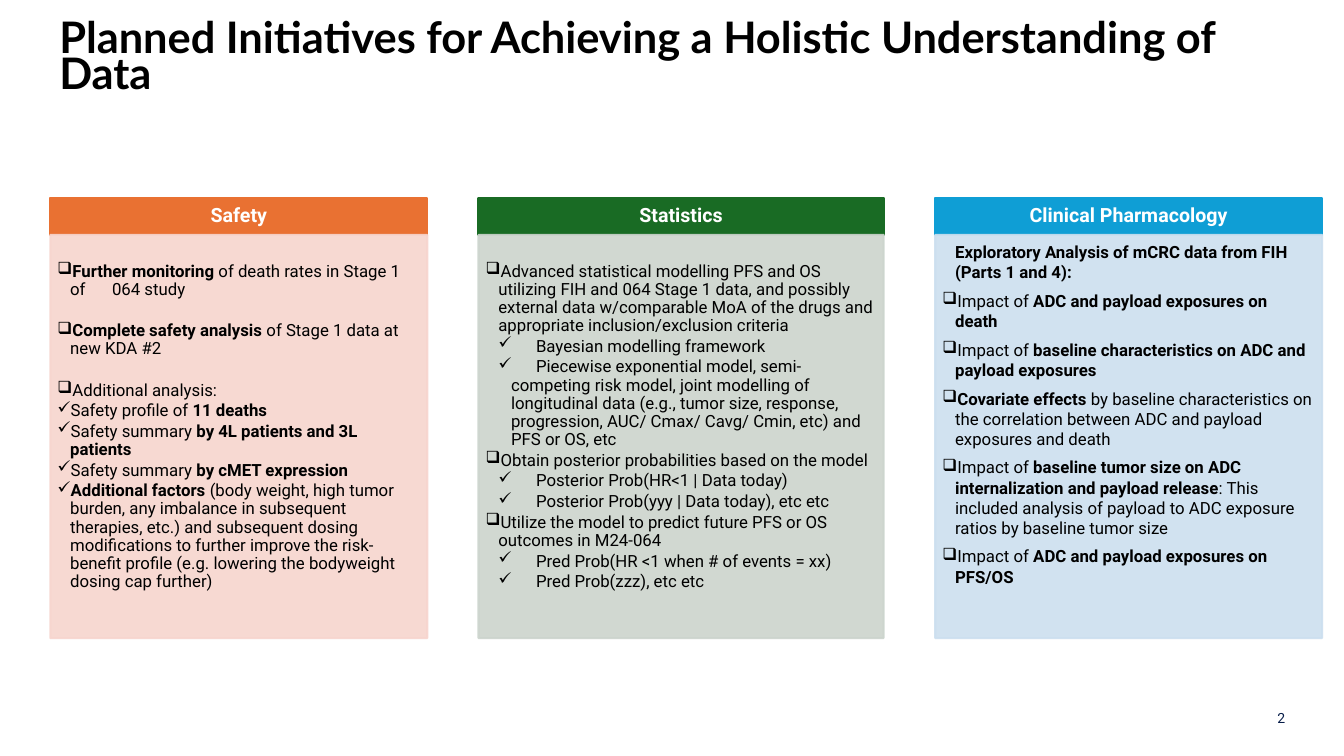
from dataclasses import dataclass

from lxml.etree import SubElement
from pptx import Presentation
from pptx.dml.color import RGBColor
from pptx.enum.shapes import MSO_SHAPE as Shape
from pptx.enum.text import MSO_ANCHOR as Anchor, MSO_AUTO_SIZE as AutoSize, PP_ALIGN as Align
from pptx.oxml.ns import qn
from pptx.util import Cm, Pt


@dataclass(frozen=True)
class Theme:
    heading_font: str = "Lato"
    body_font: str = "Roboto"
    title_size: int = 31
    header_size: int = 14
    body_size: int = 12
    number_size: int = 10
    black: str = "000000"
    white: str = "FFFFFF"
    navy: str = "071D49"
    body_opacity: int = 90


THEME = Theme()
BOX, TICK = "❑", "✓"
COLUMN_TOP, HEADER_HEIGHT, BODY_HEIGHT = 5.0, 0.92, 10.16
BLANK_LINE = 14.7


@dataclass(frozen=True)
class Item:
    """One paragraph; text between ** marks is bold."""
    text: str
    bullet: str = BOX
    level: int = 1
    before: float = 0


@dataclass(frozen=True)
class Column:
    title: str
    left: float
    width: float
    accent: str
    tint: str
    items: tuple
    top_inset: float = 0.7
    line_spacing: float = 0.9
    after: float = 1.8


SAFETY = Column("Safety", 1.27, 9.5, "E97132", "F7D5CE", (
    Item("**Further monitoring** of death rates in Stage 1 of\t 064 study"),
    Item("**Complete safety analysis **of Stage 1 data at new KDA #2", before=BLANK_LINE),
    Item("Additional analysis:", before=BLANK_LINE),
    Item("Safety profile of **11 deaths**", TICK),
    Item("Safety summary **by 4L patients and 3L patients**", TICK),
    Item("Safety summary **by cMET expression**", TICK),
    Item("**Additional factors **(body weight, high tumor burden, any imbalance in "
         "subsequent therapies, etc.) and subsequent dosing modifications to further "
         "improve the risk-benefit profile (e.g. lowering the bodyweight dosing cap "
         "further)", TICK),
))

STATISTICS = Column("Statistics", 12.06, 10.21, "196B24", "CCD4CD", (
    Item("Advanced statistical modelling PFS and OS utilizing FIH and 064 Stage 1 data, "
         "and possibly external data w/comparable MoA of the drugs and appropriate "
         "inclusion/exclusion criteria"),
    Item("\tBayesian modelling framework", TICK, 2),
    Item("\tPiecewise exponential model, semi-competing risk model, joint modelling of "
         "longitudinal data (e.g., tumor size, response, progression, AUC/ Cmax/ Cavg/ "
         "Cmin, etc) and PFS or OS, etc", TICK, 2),
    Item("Obtain posterior probabilities based on the model"),
    Item("\tPosterior Prob(HR<1 | Data today)", TICK, 2),
    Item("\tPosterior Prob(yyy | Data today), etc etc", TICK, 2),
    Item("Utilize the model to predict future PFS or OS outcomes in M24-064"),
    Item("\tPred Prob(HR <1 when # of events = xx)", TICK, 2),
    Item("\tPred Prob(zzz), etc etc", TICK, 2),
))

PHARMACOLOGY = Column("Clinical Pharmacology", 23.57, 9.75, "0F9ED5", "CCDFEF", (
    Item("**Exploratory Analysis of mCRC data from FIH (Parts 1 and 4):**", bullet=""),
    Item("Impact of **ADC and payload exposures on death**", before=6),
    Item("Impact of **baseline characteristics on ADC and payload exposures**", before=6),
    Item("**Covariate effects** by baseline characteristics on the correlation between "
         "ADC and payload exposures and death", before=6),
    Item("Impact of **baseline tumor size on ADC internalization and payload release**"
         ": This included analysis of payload to ADC exposure ratios by baseline tumor "
         "size", before=6),
    Item("Impact of **ADC and payload exposures on PFS/OS**", before=6),
), top_inset=0.18, line_spacing=1, after=0)


def style_font(font, size, color, name=THEME.body_font, bold=False):
    font.name, font.size, font.bold = name, Pt(size), bold
    font.color.rgb = RGBColor.from_string(color)


def set_insets(frame, left, top, right, bottom):
    frame.margin_left, frame.margin_top = Cm(left), Cm(top)
    frame.margin_right, frame.margin_bottom = Cm(right), Cm(bottom)


def add_panel(slide, left, top, width, height, color, opacity=100):
    panel = slide.shapes.add_shape(Shape.RECTANGLE, Cm(left), Cm(top), Cm(width), Cm(height))
    panel.shadow.inherit = False
    panel.fill.solid()
    panel.line.width = Pt(1.5)
    for fill in (panel.fill, panel.line.fill):
        fill.solid()
        fill.fore_color.rgb = RGBColor.from_string(color)
    if opacity < 100:
        for rgb in panel._element.spPr.iter(qn("a:srgbClr")):
            SubElement(rgb, qn("a:alpha"), val=str(opacity * 1000))
    panel.text_frame.word_wrap = True
    return panel


def write_item(paragraph, item, column):
    paragraph.level = item.level
    paragraph.alignment = Align.LEFT
    paragraph.line_spacing = column.line_spacing
    paragraph.space_before, paragraph.space_after = Pt(item.before), Pt(column.after)
    properties = paragraph._p.get_or_add_pPr()
    properties.set("marL", str(Cm(0.32 * item.level)))
    properties.set("indent", str(Cm(-0.32 if item.bullet else 0)))
    if item.bullet:
        SubElement(properties, qn("a:buChar"), char=item.bullet)
    for position, words in enumerate(item.text.split("**")):
        if words:
            run = paragraph.add_run()
            run.text = words
            style_font(run.font, THEME.body_size, THEME.black, bold=position % 2 == 1)


def add_column(slide, column, top):
    header = add_panel(slide, column.left, top, column.width, HEADER_HEIGHT, column.accent)
    heading = header.text_frame
    set_insets(heading, 0.28, 0.15, 0.28, 0.15)
    heading.vertical_anchor = Anchor.MIDDLE
    heading.text = column.title
    heading.paragraphs[0].alignment = Align.CENTER
    heading.paragraphs[0].line_spacing = 0.9
    style_font(heading.paragraphs[0].runs[0].font, THEME.header_size, THEME.white, bold=True)

    body = add_panel(slide, column.left, top + HEADER_HEIGHT, column.width, BODY_HEIGHT,
                     column.tint, THEME.body_opacity).text_frame
    set_insets(body, 0.18, column.top_inset, 0.23, 0.25)
    body.vertical_anchor = Anchor.TOP
    for position, item in enumerate(column.items):
        write_item(body.add_paragraph() if position else body.paragraphs[0], item, column)


def add_title(slide, left, top, width, height):
    title = slide.shapes.title
    title.left, title.top, title.width, title.height = Cm(left), Cm(top), Cm(width), Cm(height)
    frame = title.text_frame
    frame.text = "Planned Initiatives for Achieving a Holistic Understanding of Data"
    frame.auto_size = AutoSize.NONE
    frame.word_wrap = True
    frame.vertical_anchor = Anchor.TOP
    line = frame.paragraphs[0]
    line.alignment, line.line_spacing = Align.LEFT, 0.7
    style_font(line.runs[0].font, THEME.title_size, THEME.black, THEME.heading_font, True)


def add_page_number(slide, left, top, width, height):
    frame = slide.shapes.add_textbox(Cm(left), Cm(top), Cm(width), Cm(height)).text_frame
    frame.word_wrap = True
    frame.vertical_anchor = Anchor.MIDDLE
    frame.text = "2"
    frame.paragraphs[0].alignment = Align.RIGHT
    style_font(frame.paragraphs[0].runs[0].font, THEME.number_size, THEME.navy)


def main():
    deck = Presentation()
    deck.slide_width, deck.slide_height = Cm(33.87), Cm(19.05)
    slide = deck.slides.add_slide(deck.slide_layouts[5])
    add_title(slide, 1.24, 0.48, 31.62, 2.21)
    for column in (SAFETY, STATISTICS, PHARMACOLOGY):
        add_column(slide, column, COLUMN_TOP)
    add_page_number(slide, 30.91, 17.78, 1.73, 0.61)
    deck.save("out.pptx")


if __name__ == "__main__":
    main()
